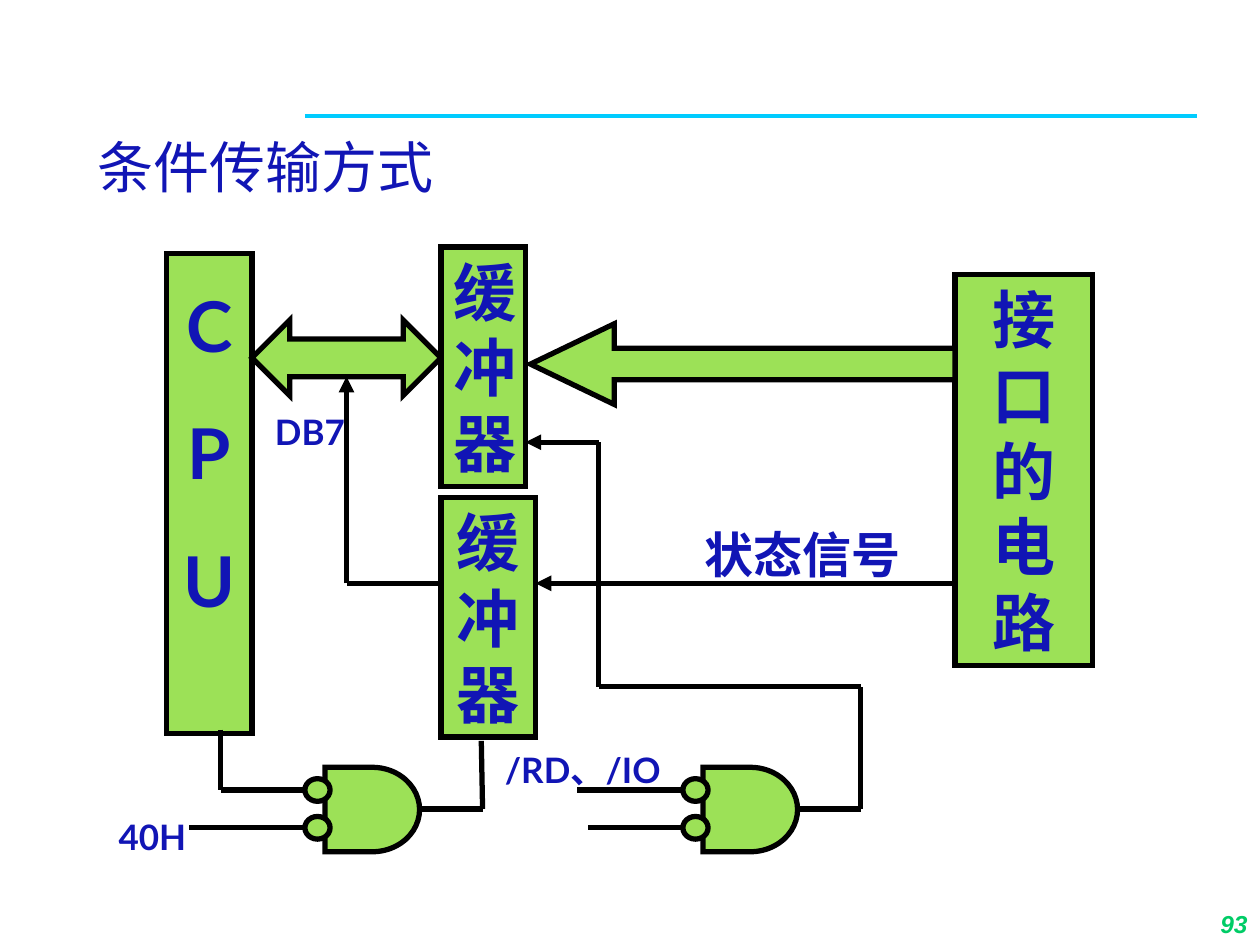
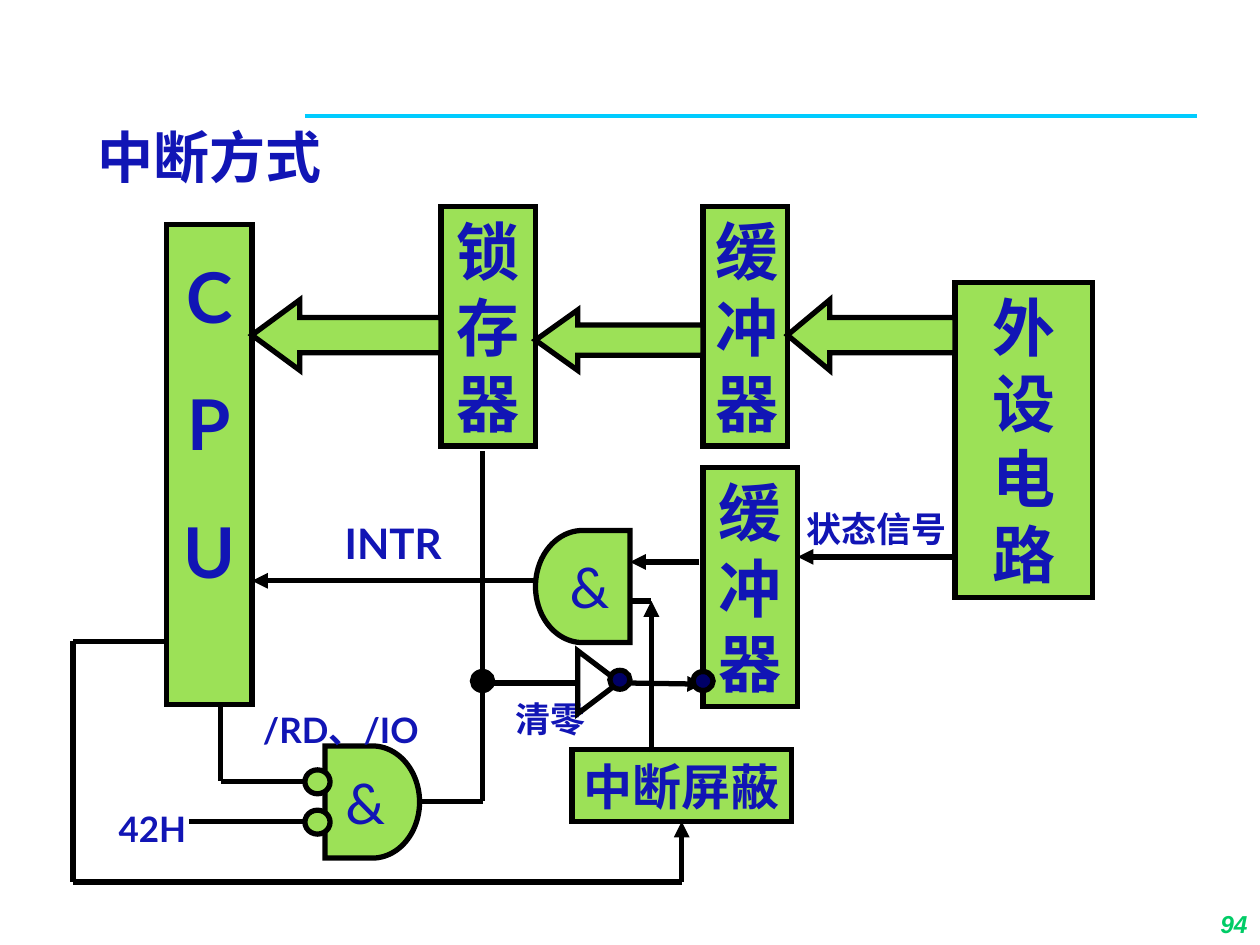
from dataclasses import dataclass
from itertools import pairwise

from lxml import etree
from pptx import Presentation
from pptx.dml.color import RGBColor
from pptx.enum.shapes import MSO_CONNECTOR, MSO_SHAPE
from pptx.enum.text import MSO_ANCHOR, PP_ALIGN
from pptx.oxml.ns import qn
from pptx.util import Pt

PX = 9144
TITLE_ONLY = 5
BOTTOM_SIDE = 2
STRAIGHT = MSO_CONNECTOR.STRAIGHT
RECT = MSO_SHAPE.RECTANGLE
DELAY = MSO_SHAPE.FLOWCHART_DELAY
CIRCLE = MSO_SHAPE.FLOWCHART_CONNECTOR
TRIANGLE = MSO_SHAPE.ISOSCELES_TRIANGLE
LEFT_ARROW = MSO_SHAPE.LEFT_ARROW
TWO_WAY_ARROW = MSO_SHAPE.LEFT_RIGHT_ARROW
TOP, MIDDLE, BOTTOM = MSO_ANCHOR.TOP, MSO_ANCHOR.MIDDLE, MSO_ANCHOR.BOTTOM
LEFT, CENTER, RIGHT = PP_ALIGN.LEFT, PP_ALIGN.CENTER, PP_ALIGN.RIGHT


@dataclass(frozen=True)
class Theme:
    """Colours, fonts and type sizes of the deck."""

    ink: str = "1115B5"
    block: str = "9CE157"
    wire: str = "000000"
    node: str = "000066"
    rule: str = "00CCFF"
    number: str = "00CC66"
    title_font: str = "Times New Roman"
    body_font: str = "Lato"
    number_font: str = "Arial"
    title_size: int = 32
    cpu_size: int = 40
    block_size: int = 36
    gate_size: int = 32
    large_size: int = 28
    signal_size: int = 24
    label_size: int = 20
    number_size: int = 14
    wire_width: int = 3
    rule_width: int = 2


def emu(*lengths):
    """Turn px lengths into EMU."""
    return [n * PX for n in lengths]


class Diagram:
    """Draws circuit diagrams on the current slide in one style."""

    def __init__(self, prs, theme):
        self.prs, self.theme, self.slide = prs, theme, None

    def page(self, title, number, title_height, bold=False):
        """Start a slide with its title, rule and page number."""
        t = self.theme
        self.slide = self.prs.slides.add_slide(self.prs.slide_layouts[TITLE_ONLY])
        self.line((242, 92), (950, 92), t.rule, t.rule_width)
        sp = self.slide.shapes.title
        sp.left, sp.top, sp.width, sp.height = emu(67, 92, 825, title_height)
        self.set_text(sp, [title], t.title_size, t.title_font, bold, LEFT)
        sp.text_frame.paragraphs[0].line_spacing = 0.9
        sp = self.slide.shapes.add_textbox(*emu(792, 700, 208, 50))
        self.set_text(sp, [number], t.number_size, t.number_font, True, RIGHT, BOTTOM, t.number)
        sp.text_frame.paragraphs[0].font.italic = True

    def set_text(self, sp, lines, size, font=None, bold=True, align=CENTER,
                 anchor=MIDDLE, color=None, gap=0):
        """Fill a shape with equally formatted paragraphs."""
        tf = sp.text_frame
        tf.word_wrap = True
        tf.vertical_anchor = anchor
        for i, text in enumerate(lines):
            p = tf.add_paragraph() if i else tf.paragraphs[0]
            p.text = text
            p.alignment = align
            if i:
                p.space_before = Pt(gap)
            p.font.name = font or self.theme.body_font
            p.font.size = Pt(size)
            p.font.bold = bold
            p.font.color.rgb = RGBColor.from_string(color or self.theme.ink)

    def shape(self, kind, x, y, w, h, fill=None, adjust=()):
        """Add an outlined preset shape."""
        sp = self.slide.shapes.add_shape(kind, *emu(x, y, w, h))
        sp.shadow.inherit = False
        for i, value in enumerate(adjust):
            sp.adjustments[i] = value
        if fill:
            sp.fill.solid()
            sp.fill.fore_color.rgb = RGBColor.from_string(fill)
        else:
            sp.fill.background()
        sp.line.color.rgb = RGBColor.from_string(self.theme.wire)
        sp.line.width = Pt(self.theme.wire_width)
        ln = sp._element.spPr.find(qn("a:ln"))
        etree.SubElement(ln, qn("a:miter")).set("lim", "800000")
        return sp

    def block(self, text, x, y, w, h, size=None, wrap=True):
        """Add a labelled block whose width breaks the text."""
        sp = self.shape(RECT, x, y, w, h, self.theme.block)
        self.set_text(sp, [text], size or self.theme.block_size)
        sp.text_frame.word_wrap = wrap
        return sp

    def cpu(self, y):
        """Add the processor block with one letter per paragraph."""
        sp = self.shape(RECT, 132, y, 68, 381, self.theme.block)
        self.set_text(sp, "CPU", self.theme.cpu_size, anchor=TOP, gap=25)
        sp.text_frame.margin_top = 23 * PX

    def bus(self, kind, x, y, w, h, *adjust):
        """Add a block arrow for a data bus."""
        self.shape(kind, x, y, w, h, self.theme.block, adjust)

    def gate(self, x, y, h, text="", flip=False):
        """Add an AND gate."""
        sp = self.shape(DELAY, x, y, 75, h, self.theme.block)
        if flip:
            sp._element.spPr.find(qn("a:xfrm")).set("flipH", "1")
        if text:
            self.set_text(sp, [text], self.theme.gate_size, bold=False)

    def inverters(self, x, tops, h):
        """Add the inverting bubbles of gate inputs."""
        for y in tops:
            self.shape(CIRCLE, x, y, 20, h, self.theme.block)

    def dot(self, x, y, color):
        """Add a small junction dot."""
        self.shape(CIRCLE, x, y, 16, 15, color)

    def label(self, text, x, y, w, h, size=None):
        """Add a centred signal name."""
        sp = self.slide.shapes.add_textbox(*emu(x, y, w, h))
        self.set_text(sp, [text], size or self.theme.label_size, anchor=TOP)

    def line(self, start, end, color, width):
        """Add a plain straight connector."""
        cx = self.slide.shapes.add_connector(STRAIGHT, *emu(*start, *end))
        cx.line.color.rgb = RGBColor.from_string(color)
        cx.line.width = Pt(width)
        etree.SubElement(cx._element.spPr, qn("a:effectLst"))
        return cx

    def wire(self, *points, arrow=False):
        """Join points by wires and return the last one."""
        for start, end in pairwise(points):
            cx = self.line(start, end, self.theme.wire, self.theme.wire_width)
        if arrow:
            ln = cx._element.spPr.find(qn("a:ln"))
            etree.SubElement(ln, qn("a:tailEnd")).set("type", "triangle")
        return cx


def conditional_transfer(d):
    """Draw the conditional transfer slide."""
    d.page("条件传输方式", "93", 86)
    d.cpu(201)
    d.bus(TWO_WAY_ARROW, 200, 254, 150, 60, 0.5, 0.5)
    d.block("缓冲器", 350, 196, 67, 190)
    d.block("接口的电路", 758, 218, 109, 310)
    d.bus(LEFT_ARROW, 421, 257, 337, 64, 0.39, 1.04)
    d.block("缓冲器", 350, 395, 75, 190)
    d.wire((175, 579), (175, 627), (250, 627))
    d.wire((150, 657), (250, 657))
    d.wire((458, 627), (542, 627))
    d.wire((467, 657), (542, 657))
    for x in (258, 558):
        d.gate(x, 609, 67)
        d.inverters(x - 16, (618, 648), 18)
    d.wire((333, 642), (383, 642), (382, 588))
    d.wire((633, 642), (683, 642), (683, 545), (475, 545), (475, 351), (417, 351), arrow=True)
    d.wire((758, 463), (425, 463), arrow=True)
    d.wire((350, 463), (275, 463), (275, 299), arrow=True)
    d.label("40H", 75, 642, 92, 44)
    d.label("状态信号", 533, 411, 208, 57, d.theme.large_size)
    d.label("/RD、/IO", 350, 589, 225, 44)
    d.label("DB7", 192, 321, 108, 44)


def interrupt_transfer(d):
    """Draw the interrupt slide."""
    t = d.theme
    d.page("中断方式", "94", 71, bold=True)
    d.cpu(178)
    d.block("锁存器", 350, 164, 75, 190)
    d.block("缓冲器", 558, 164, 67, 190)
    d.block("外设电路", 758, 224, 109, 250)
    d.bus(LEFT_ARROW, 625, 238, 133, 56, 0.5, 0.6)
    d.bus(LEFT_ARROW, 425, 246, 133, 48, 0.5, 0.7)
    d.bus(LEFT_ARROW, 200, 238, 150, 56, 0.5, 0.68)
    d.block("缓冲器", 558, 371, 75, 190)
    d.wire((175, 558), (175, 620), (250, 620))
    d.wire((150, 652), (250, 652))
    d.gate(258, 592, 89, "&")
    d.inverters(242, (611, 643), 19)
    d.wire((333, 636), (383, 636), (383, 358))
    d.wire((758, 442), (633, 442), arrow=True)
    d.gate(425, 421, 89, "&", flip=True)
    mask = d.block("中断屏蔽", 454, 595, 174, 57, t.large_size, wrap=False)
    d.wire((500, 477), (517, 477))
    d.wire((517, 597), (517, 477), arrow=True)
    d.wire((425, 461), (200, 461), arrow=True)
    d.wire((555, 446), (500, 446), arrow=True)
    cx = d.wire((133, 509), (58, 509), (58, 700), (541, 700), (541, 652), arrow=True)
    cx.end_connect(mask, BOTTOM_SIDE)
    d.wire((492, 542), (558, 543), arrow=True)
    d.label("42H", 75, 636, 92, 44)
    d.label("状态信号", 592, 398, 208, 44)
    d.label("/RD、/IO", 158, 557, 225, 44)
    d.label("INTR", 208, 406, 208, 50, t.signal_size)
    d.label("清零", 383, 549, 108, 44)
    d.shape(TRIANGLE, 450, 525, 50, 33).rotation = 90
    d.wire((383, 542), (458, 542))
    d.dot(375, 533, t.wire)
    d.dot(550, 533, t.node)
    d.dot(484, 532, t.node)


def main():
    """Build and save the deck."""
    prs = Presentation()
    prs.slide_width, prs.slide_height = emu(1000, 750)
    d = Diagram(prs, Theme())
    conditional_transfer(d)
    interrupt_transfer(d)
    prs.save("out.pptx")


if __name__ == "__main__":
    main()
